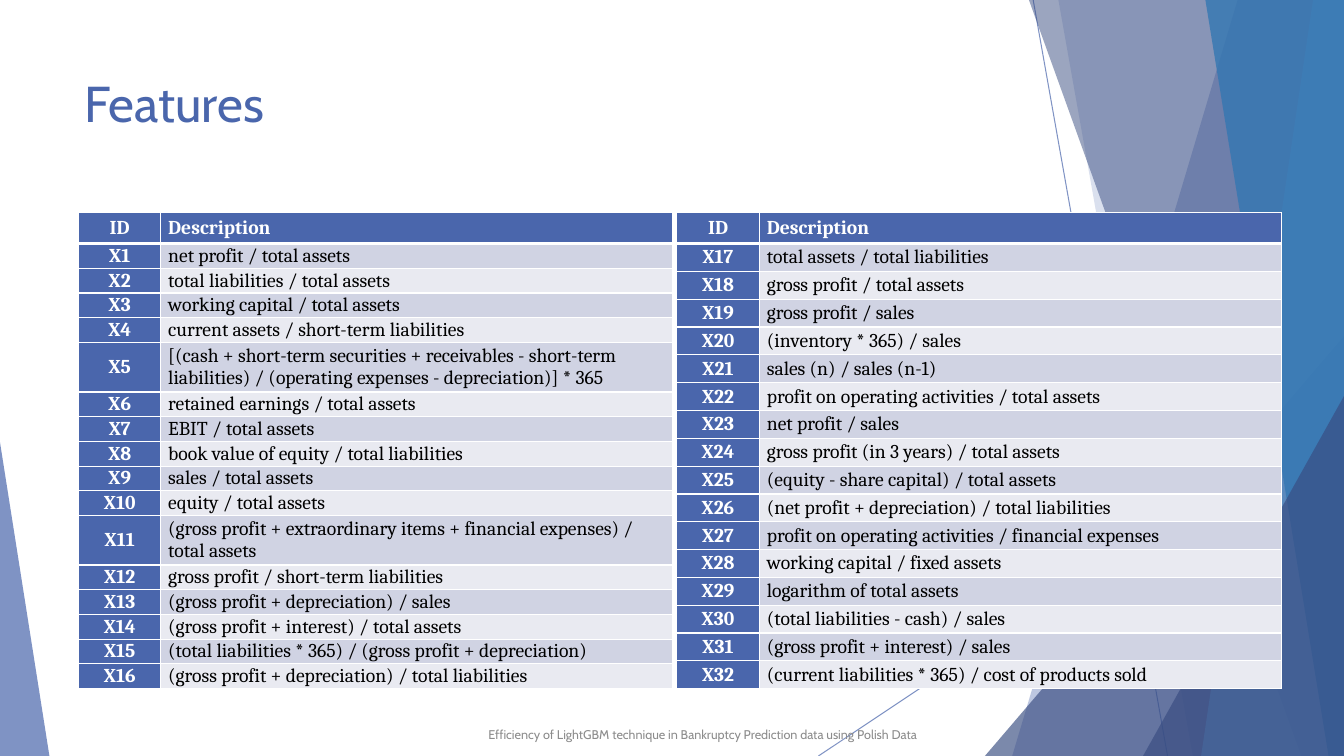
from dataclasses import dataclass

from lxml import etree
from pptx import Presentation
from pptx.dml.color import RGBColor
from pptx.enum import shapes, text
from pptx.oxml import ns
from pptx.util import Pt


@dataclass(frozen=True)
class Theme:
    blue: str = "4A66AC"
    navy: str = "384C81"
    sky: str = "629DD1"
    sea: str = "3477B2"
    odd: str = "D0D3E3"
    even: str = "E9EAF1"
    white: str = "FFFFFF"
    black: str = "000000"
    gray: str = "8C8C8C"
    sans: str = "Cabin"
    serif: str = "Cambria"
    title: int = 36
    cell: int = 14
    foot: int = 9


T = Theme()
WIDE, HIGH = 960, 540
HEAD, BODY = 22, 318

LEFT = [
    "net profit / total assets",
    "total liabilities / total assets",
    "working capital / total assets",
    "current assets / short-term liabilities",
    "[(cash + short-term securities + receivables - short-term liabilities)"
    " / (operating expenses - depreciation)] * 365",
    "retained earnings / total assets",
    "EBIT / total assets",
    "book value of equity / total liabilities",
    "sales / total assets",
    "equity / total assets",
    "(gross profit + extraordinary items + financial expenses) / total assets",
    "gross profit / short-term liabilities",
    "(gross profit + depreciation) / sales",
    "(gross profit + interest) / total assets",
    "(total liabilities * 365) / (gross profit + depreciation)",
    "(gross profit + depreciation) / total liabilities",
]
RIGHT = [
    "total assets / total liabilities",
    "gross profit / total assets",
    "gross profit / sales",
    "(inventory * 365) / sales",
    "sales (n) / sales (n-1)",
    "profit on operating activities / total assets",
    "net profit / sales",
    "gross profit (in 3 years) / total assets",
    "(equity - share capital) / total assets",
    "(net profit + depreciation) / total liabilities",
    "profit on operating activities / financial expenses",
    "working capital / fixed assets",
    "logarithm of total assets",
    "(total liabilities - cash) / sales",
    "(gross profit + interest) / sales",
    "(current liabilities * 365) / cost of products sold",
]


def color(code):
    return RGBColor.from_string(code)


def fade(shape, share):
    for node in shape.element.spPr.iter(ns.qn("a:srgbClr")):
        etree.SubElement(node, ns.qn("a:alpha"), val=str(share * 1000))


def paint(shape, code, share):
    shape.shadow.inherit = False
    shape.fill.solid()
    shape.fill.fore_color.rgb = color(code)
    shape.line.fill.background()
    fade(shape, share)


def add_line(slide, *ends):
    line = slide.shapes.add_connector(
        shapes.MSO_CONNECTOR.STRAIGHT, *map(Pt, ends))
    line.line.color.rgb = color(T.blue)
    line.line.width = Pt(0.75)
    fade(line, 70)
    etree.SubElement(line.element.spPr, ns.qn("a:effectLst"))


def add_band(slide, top, foot, code, share):
    pen = slide.shapes.build_freeform(Pt(top), 0)
    edge = [(WIDE, 0), (WIDE, HIGH), (foot, HIGH)]
    pen.add_line_segments([(Pt(x), Pt(y)) for x, y in edge])
    paint(pen.convert_to_shape(), code, share)


def add_wedge(slide, x, y, wide, tip, code, share):
    wedge = slide.shapes.add_shape(
        shapes.MSO_SHAPE.ISOSCELES_TRIANGLE,
        Pt(x), Pt(y), Pt(wide), Pt(HIGH - y))
    wedge.adjustments[0] = tip
    paint(wedge, code, share)


def add_decor(slide):
    add_line(slide, 738, 0, 834, HIGH)
    add_line(slide, WIDE, 290, 584.6, HIGH)
    add_band(slide, 884, 723, T.blue, 36)
    add_band(slide, 756, 852, T.blue, 20)
    add_wedge(slide, 703.5, 240, 256.5, 1, T.navy, 66)
    add_band(slide, 735, 929.5, T.navy, 50)
    add_band(slide, 938, 858, T.sky, 70)
    add_band(slide, 861, 949, T.sea, 80)
    add_wedge(slide, 816.5, 283, 143.5, 1, T.navy, 66)
    add_wedge(slide, 0, 316, 35.3, 0, T.blue, 70)


def place(shape, x, y, wide, high):
    shape.left, shape.top = Pt(x), Pt(y)
    shape.width, shape.height = Pt(wide), Pt(high)


def set_font(para, name, size, code, bold=False):
    font = para.font
    font.name, font.size, font.bold = name, Pt(size), bold
    font.color.rgb = color(code)


def set_title(slide, words):
    title = slide.shapes.title
    slide.shapes.element.append(title.element)
    place(title, 53.3, 48, 676.8, 104)
    frame = title.text_frame
    frame.text = words
    frame.vertical_anchor = text.MSO_ANCHOR.TOP
    para = frame.paragraphs[0]
    para.alignment = text.PP_ALIGN.LEFT
    set_font(para, T.sans, T.title, T.blue)


def add_rules(cell, top, base):
    props = cell._tc.get_or_add_tcPr()
    sides = [("lnL", 1), ("lnR", 1), ("lnT", top), ("lnB", base)]
    for spot, (tag, size) in enumerate(sides):
        rule = etree.Element(ns.qn("a:" + tag), w=str(Pt(size)))
        fill = etree.SubElement(rule, ns.qn("a:solidFill"))
        etree.SubElement(fill, ns.qn("a:srgbClr"), val=T.white)
        props.insert(spot, rule)


def fill_cell(cell, words, row, col):
    strong = row == 0 or col == 0
    cell.text = words
    cell.vertical_anchor = text.MSO_ANCHOR.MIDDLE
    cell.margin_left = cell.margin_right = Pt(5.4)
    cell.margin_top = cell.margin_bottom = 0
    cell.fill.solid()
    back = T.blue if strong else T.odd if row % 2 else T.even
    cell.fill.fore_color.rgb = color(back)
    para = cell.text_frame.paragraphs[0]
    para.alignment = text.PP_ALIGN.LEFT if col else text.PP_ALIGN.CENTER
    set_font(para, T.serif, T.cell, T.white if strong else T.black, strong)
    add_rules(cell, 3 if row == 1 else 1, 3 if row == 0 else 1)


def add_grid(slide, x, widths, first, items, tall=()):
    rows = [("ID", "Description")]
    rows += [(f"X{num}", item) for num, item in enumerate(items, first)]
    table = slide.shapes.add_table(
        len(rows), 2, Pt(x), Pt(152), Pt(sum(widths)), Pt(HEAD + BODY)).table
    for col, wide in enumerate(widths):
        table.columns[col].width = Pt(wide)
    unit = BODY / (len(items) + len(tall))
    for row, cells in enumerate(rows):
        high = unit * (2 if row in tall else 1) if row else HEAD
        table.rows[row].height = Pt(high)
        for col, words in enumerate(cells):
            fill_cell(table.cell(row, col), words, row, col)


def add_foot(slide, words):
    box = slide.shapes.add_textbox(Pt(53.3), Pt(511.2), Pt(897), Pt(28.8))
    frame = box.text_frame
    frame.word_wrap = True
    frame.vertical_anchor = text.MSO_ANCHOR.MIDDLE
    frame.text = words
    para = frame.paragraphs[0]
    para.alignment = text.PP_ALIGN.CENTER
    para.line_spacing = 0.9
    para.space_after = Pt(6)
    set_font(para, T.sans, T.foot, T.gray)


def main():
    deck = Presentation()
    deck.slide_width, deck.slide_height = Pt(WIDE), Pt(HIGH)
    slide = deck.slides.add_slide(deck.slide_layouts[5])
    add_decor(slide)
    set_title(slide, "Features")
    add_grid(slide, 56.3, (58.5, 365.7), 1, LEFT, (5, 11))
    add_grid(slide, 483.4, (59, 373), 17, RIGHT)
    add_foot(slide, "Efficiency of LightGBM technique in Bankruptcy "
                    "Prediction data using Polish Data")
    deck.save("out.pptx")


if __name__ == "__main__":
    main()
